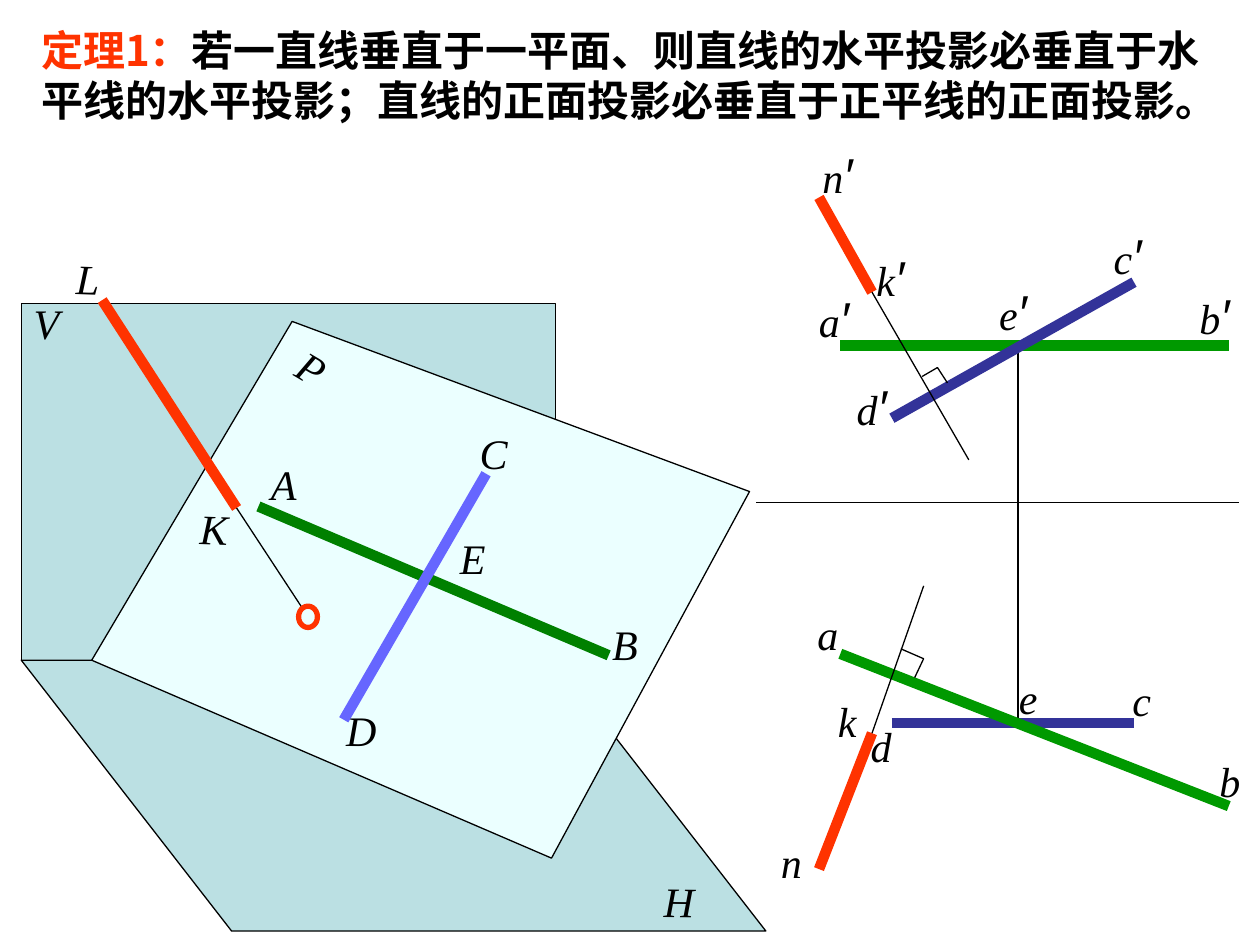
from dataclasses import dataclass

from lxml.etree import SubElement
from pptx import Presentation
from pptx.dml.color import RGBColor
from pptx.enum.shapes import MSO_CONNECTOR as LINE, MSO_SHAPE as SHAPE
from pptx.oxml.ns import qn
from pptx.util import Cm, Pt


@dataclass(frozen=True)
class Theme:
    """Colours, fonts and sizes used on the slide."""
    ink: str = "000000"
    plane: str = "BBE0E3"
    inclined: str = "EBFFFF"
    normal: str = "FF3300"
    level: str = "008000"
    frontal: str = "6666FF"
    level_view: str = "009900"
    frontal_view: str = "333399"
    title_font: str = "Noto Sans CJK SC"
    letter_font: str = "Times New Roman"
    prime_font: str = "Arial"
    text_size: int = 24
    prime_size: int = 28
    thin: float = 0.75
    ring: int = 3
    bold: int = 6


THEME = Theme()


@dataclass(frozen=True)
class Region:
    """A box on the slide, in centimetres."""
    left: float
    top: float
    width: float
    height: float

    def at(self, x, y):
        """Return the slide position of a point inside the box."""
        return Cm(self.left + x), Cm(self.top + y)


def style_shape(shape, fill, line=THEME.ink, width=THEME.thin):
    """Give a shape its fill and outline; a fill of None leaves it open."""
    shape.shadow.inherit = False
    if fill:
        shape.fill.solid()
        shape.fill.fore_color.rgb = RGBColor.from_string(fill)
    else:
        shape.fill.background()
    shape.line.color.rgb = RGBColor.from_string(line)
    shape.line.width = Pt(width)


def add_line(slide, region, start, end, color=THEME.ink, width=THEME.thin):
    """Draw a straight line between two points of the region."""
    line = slide.shapes.add_connector(LINE.STRAIGHT, *region.at(*start), *region.at(*end))
    line.line.color.rgb = RGBColor.from_string(color)
    line.line.width = Pt(width)
    SubElement(line._element.spPr, qn("a:effectLst"))


def add_outline(slide, region, points, fill=None):
    """Draw a filled polygon, or an open polyline when there is no fill."""
    first, *others = [region.at(*point) for point in points]
    builder = slide.shapes.build_freeform(*first, scale=1.0)
    builder.add_line_segments(others, close=fill is not None)
    style_shape(builder.convert_to_shape(), fill)


def add_run(paragraph, text, font, color=THEME.ink, size=THEME.text_size, **formats):
    """Append a run with its font, colour and further formats."""
    run = paragraph.add_run()
    run.text = text
    run.font.color.rgb = RGBColor.from_string(color)
    for name, value in {"name": font, "size": Pt(size), **formats}.items():
        setattr(run.font, name, value)
    SubElement(run.font._element, qn("a:ea")).set("typeface", font)


def add_text_box(slide, region, x, y, width, height):
    """Add a wrapping text box and return it with its first paragraph."""
    box = slide.shapes.add_textbox(*region.at(x, y), Cm(width), Cm(height))
    box.text_frame.word_wrap = True
    return box, box.text_frame.paragraphs[0]


def add_label(slide, region, text, x, y, width, rotation=0):
    """Add an italic point name, with a larger upright prime where it has one."""
    primed = text.endswith("′")
    box, paragraph = add_text_box(slide, region, x, y, width, 1.45 if primed else 1.27)
    box.rotation = rotation
    add_run(paragraph, text[0], THEME.letter_font, italic=True)
    if primed:
        add_run(paragraph, "′", THEME.prime_font, size=THEME.prime_size, italic=True)


def add_theorem(slide, region):
    """Write the theorem across the top."""
    _, paragraph = add_text_box(slide, region, 0, 0, region.width, region.height)
    add_run(paragraph, "定理1：", THEME.title_font, THEME.normal, bold=True)
    add_run(
        paragraph,
        "若一直线垂直于一平面、则直线的水平投影必垂直于水平线的水平投影；"
        "直线的正面投影必垂直于正平线的正面投影。",
        THEME.title_font, bold=True,
    )


def add_spatial_view(slide, region):
    """Draw the planes V, H and P with the normal LK and the lines AB and CD."""
    wall_width, fold, depth = 10.77, 8.33, 4.24
    wall = slide.shapes.add_shape(
        SHAPE.RECTANGLE, *region.at(0, 1.14), Cm(wall_width), Cm(fold - 1.14))
    style_shape(wall, THEME.plane)
    floor = [(0, fold), (depth, region.height),
             (depth + wall_width, region.height), (wall_width, fold)]
    add_outline(slide, region, floor, THEME.plane)
    inclined = [(5.46, 1.5), (1.42, fold), (10.69, 12.32), (14.68, 4.93)]
    add_outline(slide, region, inclined, THEME.inclined)

    foot = (4.34, 5.26)
    add_line(slide, region, (4.78, 5.23), (11.84, 8.23), THEME.level, THEME.bold)
    add_line(slide, region, (6.5, 9.53), (9.37, 4.57), THEME.frontal, THEME.bold)
    add_line(slide, region, (1.63, 1.07), foot, THEME.normal, THEME.bold)
    add_line(slide, region, foot, (5.79, 7.47))
    ring = slide.shapes.add_shape(SHAPE.OVAL, *region.at(5.59, 7.24), Cm(0.38), Cm(0.43))
    style_shape(ring, THEME.inclined, THEME.normal, THEME.ring)

    for label in [
        ("V", 0, 0.89, 1.96), ("P", 5.36, 1.78, 0.91, 30.7), ("A", 4.78, 4.14, 0.97),
        ("K", 3.35, 5.03, 0.97, 2.1), ("L", 0.86, 0, 0.97, 2.1), ("D", 6.3, 9.09, 0.97),
        ("C", 8.99, 3.51, 0.97), ("B", 11.66, 7.37, 0.97), ("E", 8.59, 5.64, 0.97),
        ("H", 12.7, 12.55, 2.16, 0.6),
    ]:
        add_label(slide, region, *label)


def add_projections(slide, region):
    """Draw the front and top projections on either side of the axis."""
    a_x, b_x, c_x, d_x, e_x = 1.7, 9.53, 7.62, 2.74, 5.28
    n_x, k_x = 1.27, 2.34
    front_y, top_y, axis_y = 4.17, 11.79, 7.34
    add_line(slide, region, (0, axis_y), (region.width, axis_y))
    add_line(slide, region, (e_x, front_y), (e_x, top_y))
    for start, end, color in [
        ((a_x, front_y), (b_x, front_y), THEME.level_view),
        ((d_x, top_y), (c_x, top_y), THEME.frontal_view),
        ((c_x, 2.9), (d_x, 5.64), THEME.frontal_view),
        ((a_x, 10.39), (b_x, 13.46), THEME.level_view),
    ]:
        add_line(slide, region, start, end, color, THEME.bold)

    for n_y, k_y, far_end, corner in [
        (1.19, 3.1, (4.29, 6.48), [(3.35, 4.8), (3.66, 4.62), (3.86, 4.93)]),
        (14.73, 11.99, (3.38, 9.02), [(2.92, 10.29), (3.38, 10.49), (3.2, 10.87)]),
    ]:
        add_line(slide, region, (n_x, n_y), (k_x, k_y), THEME.normal, THEME.bold)
        add_line(slide, region, (k_x, k_y), far_end)
        add_outline(slide, region, corner)

    for text, x, y in [
        ("a′", 1.02, 2.9), ("b′", 8.69, 2.84), ("c′", 6.96, 1.63), ("d′", 1.78, 4.67),
        ("e′", 4.65, 2.77), ("k′", 2.18, 2.08), ("n′", 1.09, 0),
        ("a", 0.99, 9.35), ("b", 9.09, 12.32), ("c", 7.34, 10.69), ("d", 2.06, 11.61),
        ("e", 5.05, 10.64), ("k", 1.4, 11.1), ("n", 0.25, 13.94),
    ]:
        add_label(slide, region, text, x, y, 1.07 if text == "b" else 1.47)


def main():
    """Build the slide and save it."""
    presentation = Presentation()
    presentation.slide_width, presentation.slide_height = Cm(25.4), Cm(19.05)
    slide = presentation.slides.add_slide(presentation.slide_layouts[6])
    add_spatial_view(slide, Region(0.43, 4.98, 15.01, 13.79))
    add_projections(slide, Region(15.24, 2.79, 9.73, 15.21))
    add_theorem(slide, Region(0.58, 0.36, 24.33, 2.69))
    presentation.save("out.pptx")


if __name__ == "__main__":
    main()
